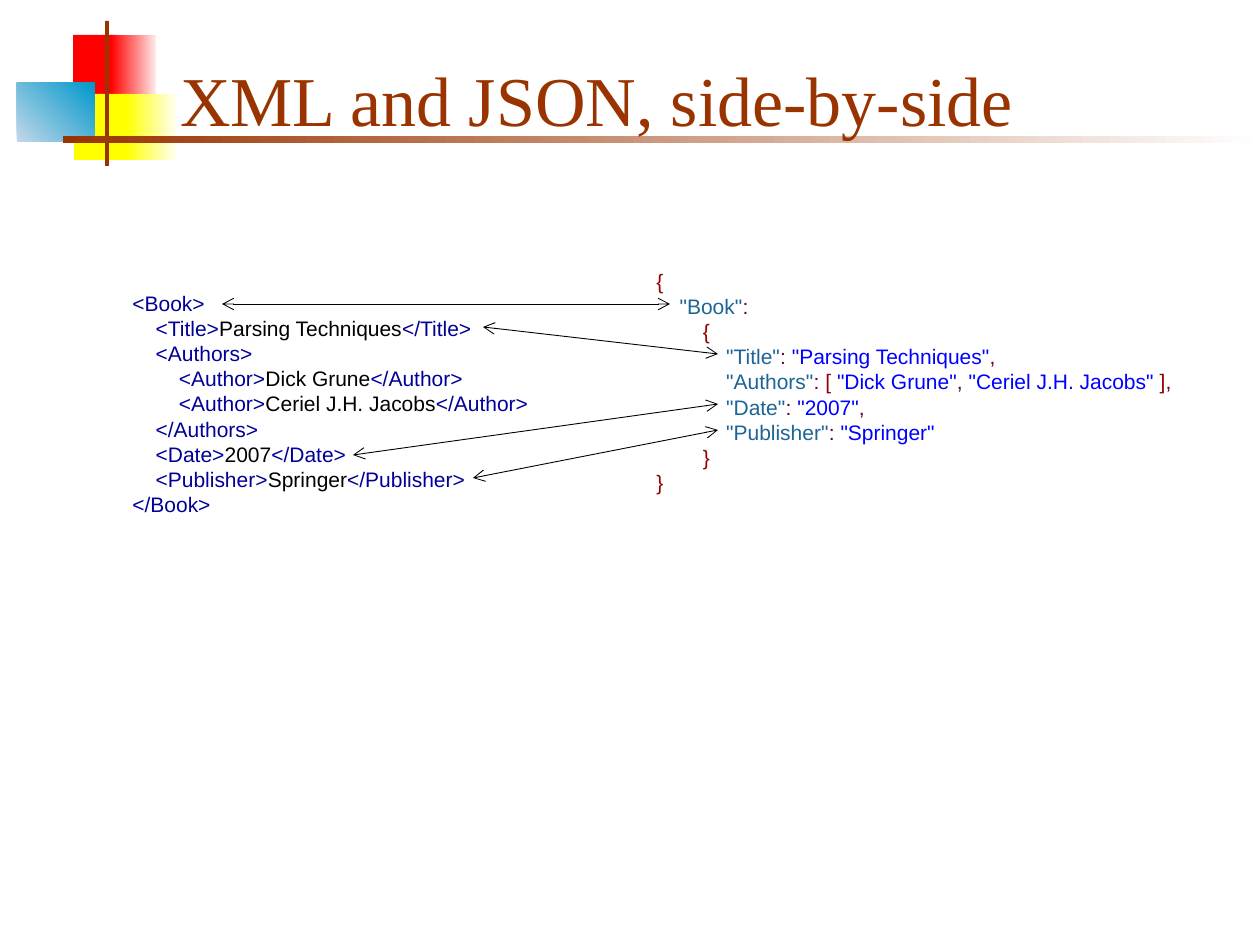
from dataclasses import dataclass
from typing import NamedTuple

from pptx import Presentation
from pptx.dml.color import RGBColor as RGB
from pptx.enum.shapes import MSO_CONNECTOR as Conn, MSO_SHAPE as Shape
from pptx.enum.text import MSO_ANCHOR as Anchor
from pptx.oxml.ns import qn
from pptx.util import Emu, Pt
from lxml.etree import SubElement


@dataclass(frozen=True)
class Theme:
    brown: str = "993300"
    red: str = "FF0000"
    pale_red: str = "FFEAEA"
    yellow: str = "FFFF00"
    pale_yellow: str = "FFFFF0"
    blue: str = "0098CB"
    pale_blue: str = "C4D8E9"
    white: str = "FFFFFF"
    black: str = "000000"
    tag: str = "000096"
    brace: str = "960000"
    key: str = "1E6496"
    mark: str = "640032"
    value: str = "0000FF"
    title_font: str = "Times New Roman"
    code_font: str = "Arial"
    title_size: float = 40
    code_size: float = 12
    code_leading: float = 14.4
    arrow_width: float = 0.5


class Box(NamedTuple):
    x: int
    y: int
    w: int
    h: int


class Block(NamedTuple):
    box: Box
    start: str
    end: str = ""
    angle: int = 0


class Arrow(NamedTuple):
    x1: int
    y1: int
    x2: int
    y2: int


class Run(NamedTuple):
    text: str
    color: str


class Line(NamedTuple):
    level: int
    runs: list[Run]


T = Theme()
PX_PER_INCH = 126


def px(n: int) -> Emu:
    return Emu(round(n * 914400 / PX_PER_INCH))


def tag(text: str) -> Run:
    return Run(text, T.tag)


def brace(text: str) -> Run:
    return Run(text, T.brace)


def mark(text: str) -> Run:
    return Run(text, T.mark)


def value(text: str) -> Run:
    return Run(text, T.value)


def element(name: str, text: str) -> list[Run]:
    return [tag(f"<{name}>"), Run(text, T.black), tag(f"</{name}>")]


def member(name: str, *runs: Run) -> list[Run]:
    return [Run(f'"{name}"', T.key), mark(": "), *runs]


BLOCKS = [
    Block(Box(73, 35, 44, 66), T.red),
    Block(Box(111, 35, 45, 66), T.red, T.pale_red),
    Block(Box(74, 94, 58, 66), T.yellow),
    Block(Box(126, 94, 50, 66), T.yellow, T.pale_yellow),
    Block(Box(17, 83, 78, 59), T.pale_blue, T.blue, 45),
    Block(Box(105, 21, 4, 145), T.brown),
    Block(Box(63, 136, 1197, 7), T.brown, T.white),
]

XML = [
    Line(0, [tag("<Book>")]),
    Line(1, element("Title", "Parsing Techniques")),
    Line(1, [tag("<Authors>")]),
    Line(2, element("Author", "Dick Grune")),
    Line(2, element("Author", "Ceriel J.H. Jacobs")),
    Line(1, [tag("</Authors>")]),
    Line(1, element("Date", "2007")),
    Line(1, element("Publisher", "Springer")),
    Line(0, [tag("</Book>")]),
]

JSON = [
    Line(0, [brace("{")]),
    Line(1, member("Book")),
    Line(2, [brace("{")]),
    Line(3, member("Title", value('"Parsing Techniques"'), mark(","))),
    Line(3, member("Authors", brace("[ "), value('"Dick Grune"'), mark(", "),
                   value('"Ceriel J.H. Jacobs" '), brace("]"), mark(","))),
    Line(3, member("Date", value('"2007"'), mark(","))),
    Line(3, member("Publisher", value('"Springer"'))),
    Line(2, [brace("}")]),
    Line(0, [brace("}")]),
]

ARROWS = [
    Arrow(222, 304, 670, 304),
    Arrow(483, 327, 718, 354),
    Arrow(353, 455, 718, 404),
    Arrow(473, 478, 718, 430),
]


def draw_block(s, block: Block) -> None:
    sp = s.shapes.add_shape(Shape.RECTANGLE, *map(px, block.box))
    sp.shadow.inherit = False
    sp.line.fill.background()
    if not block.end:
        sp.fill.solid()
        sp.fill.fore_color.rgb = RGB.from_string(block.start)
        return
    sp.fill.gradient()
    sp.fill.gradient_angle = block.angle
    for stop, color in zip(sp.fill.gradient_stops, (block.start, block.end)):
        stop.color.rgb = RGB.from_string(color)


def add_text_frame(s, box: Box):
    tf = s.shapes.add_textbox(*map(px, box)).text_frame
    tf.word_wrap = True
    return tf


def add_run(p, run: Run, font: str, size: float) -> None:
    r = p.add_run()
    r.text = run.text
    r.font.name = font
    r.font.size = Pt(size)
    r.font.color.rgb = RGB.from_string(run.color)


def draw_title(s, box: Box, text: str) -> None:
    tf = add_text_frame(s, box)
    tf.vertical_anchor = Anchor.BOTTOM
    add_run(tf.paragraphs[0], Run(text, T.brown), T.title_font, T.title_size)


def draw_code(s, box: Box, lines: list[Line]) -> None:
    tf = add_text_frame(s, box)
    for i, line in enumerate(lines):
        p = tf.add_paragraph() if i else tf.paragraphs[0]
        p.line_spacing = Pt(T.code_leading)
        first, *rest = line.runs
        indented = Run("    " * line.level + first.text, first.color)
        for run in (indented, *rest):
            add_run(p, run, T.code_font, T.code_size)


def draw_arrow(s, arrow: Arrow) -> None:
    sp = s.shapes.add_connector(Conn.STRAIGHT, *map(px, arrow))
    sp.line.width = Pt(T.arrow_width)
    sp.line.color.rgb = RGB.from_string(T.black)
    ln = sp.line._get_or_add_ln()
    for end in ("a:headEnd", "a:tailEnd"):
        SubElement(ln, qn(end), type="arrow")
    SubElement(sp._element.spPr, qn("a:effectLst"))


def main() -> None:
    prs = Presentation()
    prs.slide_width, prs.slide_height = px(1260), px(945)
    s = prs.slides.add_slide(prs.slide_layouts[6])
    for block in BLOCKS:
        draw_block(s, block)
    draw_title(s, Box(168, 32, 1074, 115), "XML and JSON, side-by-side")
    draw_code(s, Box(120, 284, 435, 242), XML)
    draw_code(s, Box(644, 262, 548, 242), JSON)
    for arrow in ARROWS:
        draw_arrow(s, arrow)
    prs.save("out.pptx")


if __name__ == "__main__":
    main()
